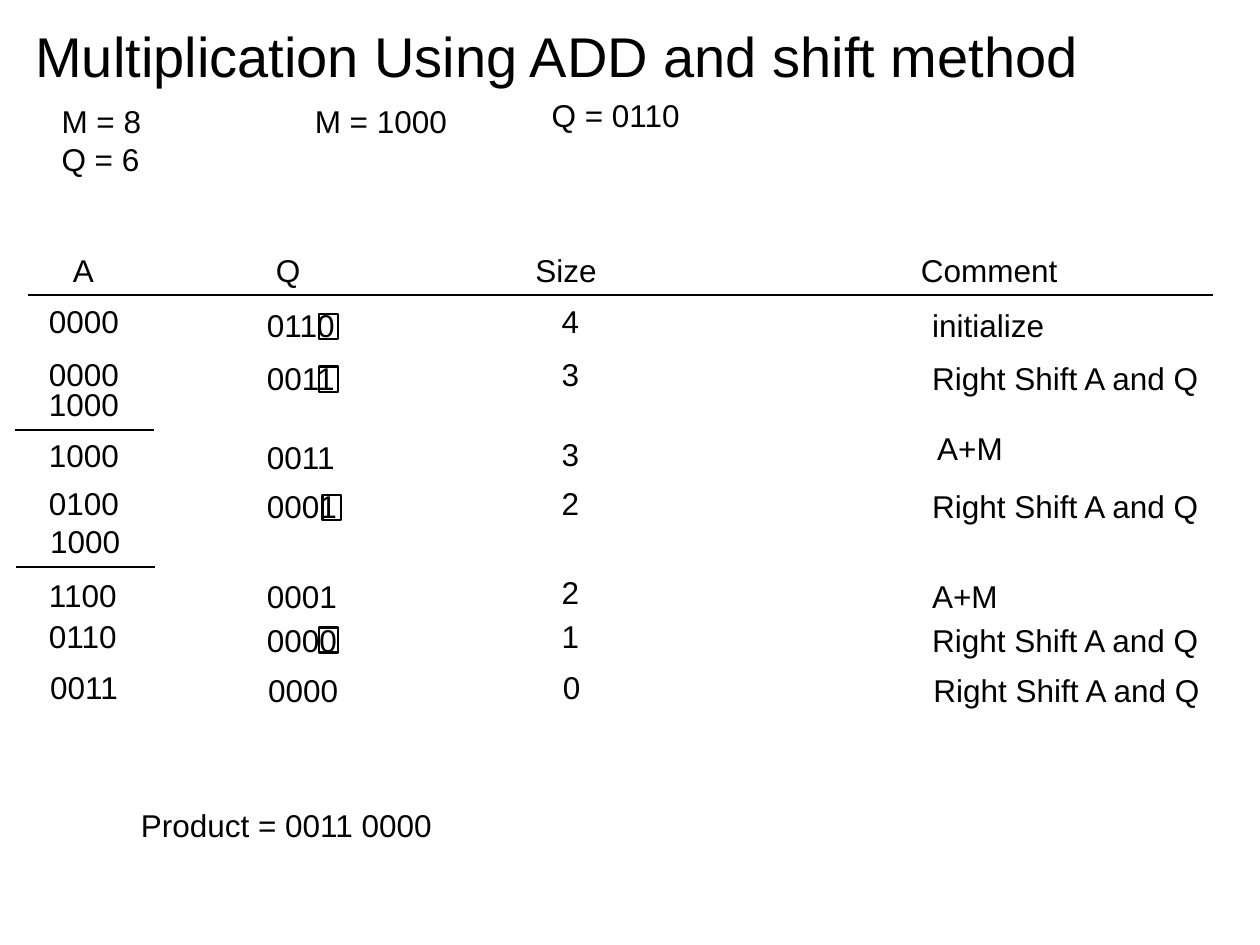
"""Build a slide that traces binary multiplication by the add and shift method."""
from dataclasses import dataclass

from lxml.etree import SubElement
from pptx import Presentation
from pptx.dml.color import RGBColor
from pptx.enum.shapes import MSO_CONNECTOR, MSO_SHAPE
from pptx.enum.text import MSO_ANCHOR as Anchor, MSO_AUTO_SIZE as AutoSize, PP_ALIGN as Align
from pptx.oxml.ns import qn
from pptx.util import Inches, Pt

COLORS = {"ink": "000000", "paper": "FFFFFF"}
INK = RGBColor.from_string(COLORS["ink"])
FONT = "Arial"
LINE_HEIGHT = 0.4
REGISTER_WIDTH = 0.76
COMMENT_WIDTHS = {"initialize": 1.1, "A+M": 0.73, "Right Shift A and Q": 2.33}
HEADER_TABS = (0.19, 1.8, 3.86, 6.92)


@dataclass
class Step:
    top: float
    a: str
    q: str
    size: str
    comment: str
    shift: float = 0
    a_drop: float = 0
    comment_shift: float = 0
    comment_drop: float = 0.03


@dataclass
class Rule:
    left: float
    top: float
    width: float


STEPS = (
    Step(2.35, "0000", "0110", "4", "initialize"),
    Step(2.77, "0000", "0011", "3", "Right Shift A and Q"),
    Step(3.4, "1000", "0011", "3", "A+M", a_drop=0.01, comment_shift=0.04, comment_drop=-0.04),
    Step(3.79, "0100", "0001", "2", "Right Shift A and Q"),
    Step(4.5, "1100", "0001", "2", "A+M", a_drop=0.02),
    Step(4.85, "0110", "0000", "1", "Right Shift A and Q"),
    Step(5.25, "0011", "0000", "0", "Right Shift A and Q", shift=0.01),
)
ADDENDS = ((0.29, 3.01), (0.3, 4.09))
RULES = (Rule(0.22, 2.34, 9.41), Rule(0.12, 3.41, 1.1), Rule(0.13, 4.5, 1.1))
LOW_BITS = ((2.53, 2.49), (2.53, 2.91), (2.56, 3.93), (2.53, 4.98))

prs = Presentation()
prs.slide_width, prs.slide_height = Inches(10), Inches(7.5)
slide = prs.slides.add_slide(prs.slide_layouts[5])
slide.background.fill.solid()
slide.background.fill.fore_color.rgb = RGBColor.from_string(COLORS["paper"])


def write(frame, text: str, *, size: float = 18, wrap: bool = False) -> None:
    frame.text = text
    frame.word_wrap = wrap
    for paragraph in frame.paragraphs:
        paragraph.alignment = Align.LEFT
        paragraph.font.size = Pt(size)
        for run in paragraph.runs:
            run.font.name = FONT
            run.font.size = Pt(size)
            run.font.color.rgb = INK


def add_label(text: str, left: float, top: float, width: float,
              height: float = LINE_HEIGHT, wrap: bool = False):
    label = slide.shapes.add_textbox(Inches(left), Inches(top), Inches(width), Inches(height))
    write(label.text_frame, text, wrap=wrap)
    label.text_frame.auto_size = AutoSize.SHAPE_TO_FIT_TEXT
    return label


def add_title(text: str) -> None:
    title = slide.shapes.title
    title.left, title.top, title.width, title.height = map(Inches, (0.28, 0.13, 9, 0.62))
    frame = title.text_frame
    write(frame, text, size=32, wrap=True)
    frame.auto_size = AutoSize.NONE
    frame.vertical_anchor = Anchor.MIDDLE
    frame.margin_left = frame.margin_right = frame.margin_top = frame.margin_bottom = 0


def add_header() -> None:
    header = add_label("\tA\tQ\tSize\tComment", 0.29, 1.94, 9.21, wrap=True)
    properties = header.text_frame.paragraphs[0]._p.get_or_add_pPr()
    stops = SubElement(properties, qn("a:tabLst"))
    for position in HEADER_TABS:
        SubElement(stops, qn("a:tab"), pos=str(int(Inches(position))), algn="l")


def add_step(step: Step) -> None:
    add_label(step.a, 0.29 + step.shift, step.top + step.a_drop, REGISTER_WIDTH)
    add_label(step.q, 2.02 + step.shift, step.top + 0.03, REGISTER_WIDTH)
    add_label(step.size, 4.36 + step.shift, step.top, 0.34)
    add_label(step.comment, 7.3 + step.shift + step.comment_shift,
              step.top + step.comment_drop, COMMENT_WIDTHS[step.comment])


def add_rule(rule: Rule) -> None:
    line = slide.shapes.add_connector(
        MSO_CONNECTOR.STRAIGHT, Inches(rule.left), Inches(rule.top),
        Inches(rule.left + rule.width), Inches(rule.top))
    line.line.color.rgb = INK
    line.line.width = Pt(1.25)
    SubElement(line._element.spPr, qn("a:effectLst"))


def add_bit_frame(left: float, top: float) -> None:
    bit = slide.shapes.add_shape(
        MSO_SHAPE.RECTANGLE, Inches(left), Inches(top), Inches(0.15), Inches(0.2))
    bit.shadow.inherit = False
    bit.fill.background()
    bit.line.color.rgb = INK
    bit.line.width = Pt(1.25)


add_title("Multiplication Using ADD and shift method")
add_label("M = 8\nQ = 6", 0.39, 0.76, 0.84, 0.71)
add_label("M = 1000", 2.4, 0.76, 1.26)
add_label("Q = 0110", 4.28, 0.71, 1.23)
add_header()
for step in STEPS:
    add_step(step)
for left, top in ADDENDS:
    add_label("1000", left, top, REGISTER_WIDTH)
for rule in RULES:
    add_rule(rule)
for left, top in LOW_BITS:
    add_bit_frame(left, top)
add_label("Product = 0011 0000", 1.02, 6.35, 2.53)

prs.save("out.pptx")
